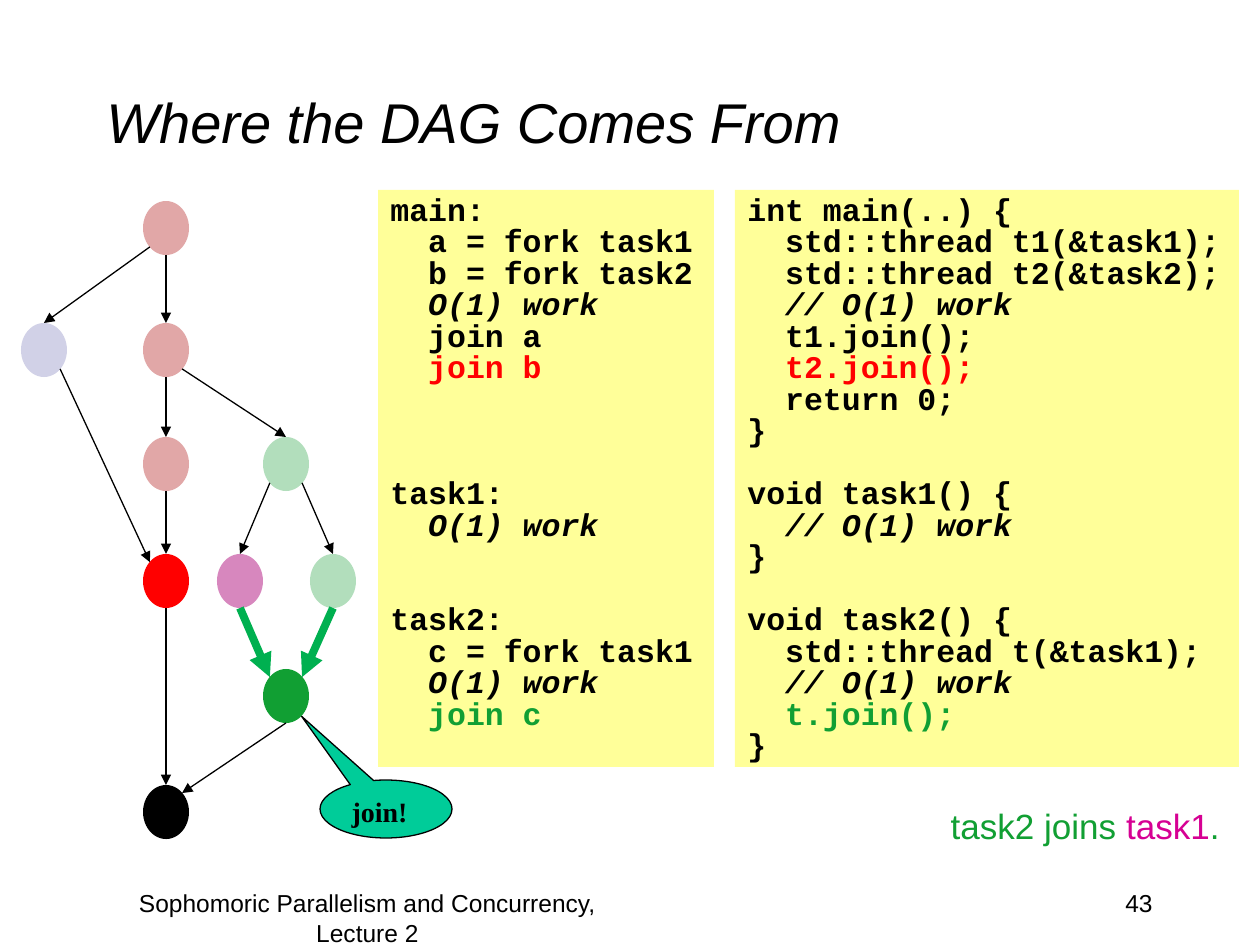
from pptx import Presentation
from pptx.dml.color import RGBColor
from pptx.enum.shapes import MSO_CONNECTOR as Connector, MSO_SHAPE as Shape
from pptx.enum.text import MSO_ANCHOR as Anchor, PP_ALIGN as Align
from pptx.oxml.ns import qn
from pptx.util import Emu, Pt
from lxml.etree import SubElement

EMU_PER_PX = 914400 / 126
BLACK = RGBColor(0x00, 0x00, 0x00)
ROSE = RGBColor(0xE1, 0xA7, 0xA7)
LAVENDER = RGBColor(0xD1, 0xD1, 0xE7)
RED = RGBColor(0xFF, 0x00, 0x00)
MINT = RGBColor(0xB2, 0xDE, 0xBC)
ORCHID = RGBColor(0xD7, 0x87, 0xBE)
GREEN = RGBColor(0x11, 0x9F, 0x33)
BRIGHT_GREEN = RGBColor(0x00, 0xB0, 0x50)
MAGENTA = RGBColor(0xD6, 0x00, 0x93)
YELLOW = RGBColor(0xFF, 0xFF, 0x99)
TEAL = RGBColor(0x00, 0xCC, 0x99)

BODY = {"name": "Arial", "size": Pt(14), "color": BLACK}
CODE = {"name": "Courier New", "size": Pt(18), "bold": True, "color": BLACK}
CALLOUT = {"name": "Times New Roman", "size": Pt(16), "bold": True, "color": BLACK}
ITALIC = {"italic": True}
CODE_LINE = Pt(18)
CODE_INDENT = Pt(21.6)  # two characters

NODE_W, NODE_H = 46, 54
DIAGONAL = 0.35  # half of cos 45°: where a diagonal meets the ellipse
SITES = {
    "n": (0, -0.5), "s": (0, 0.5),
    "nw": (-DIAGONAL, -DIAGONAL), "ne": (DIAGONAL, -DIAGONAL),
    "sw": (-DIAGONAL, DIAGONAL), "se": (DIAGONAL, DIAGONAL),
}

# name: (centre x, centre y, colour)
NODES = {
    "start": (166, 228, ROSE),
    "fork b": (166, 350, ROSE),
    "task1": (44, 350, LAVENDER),
    "main work": (166, 464, ROSE),
    "join a": (166, 581, RED),
    "join b": (166, 812, BLACK),
    "task2": (286, 464, MINT),
    "inner task1": (240, 581, ORCHID),
    "task2 work": (333, 581, MINT),
    "join c": (286, 696, GREEN),
}
EDGES = [
    ("start", "sw", "task1", "n"),
    ("start", "s", "fork b", "n"),
    ("task1", "se", "join a", "nw"),
    ("fork b", "s", "main work", "n"),
    ("main work", "s", "join a", "n"),
    ("join a", "s", "join b", "n"),
    ("fork b", "se", "task2", "n"),
    ("task2", "sw", "inner task1", "n"),
    ("task2", "se", "task2 work", "n"),
    ("join c", "s", "join b", "ne"),
]
JOIN_EDGES = [
    ("inner task1", "s", "join c", "nw"),
    ("task2 work", "s", "join c", "ne"),
]

# Each block: empty lines above it, then its lines as (text, format)
PSEUDOCODE = [
    (0, [("main:", {}), ("a = fork task1", {}), ("b = fork task2", {}),
         ("O(1) work", ITALIC), ("join a", {}), ("join b", {"color": RED})]),
    (3, [("task1:", {}), ("O(1) work", ITALIC)]),
    (2, [("task2:", {}), ("c = fork task1", {}), ("O(1) work", ITALIC),
         ("join c", {"color": GREEN})]),
]
CPP_CODE = [
    (0, [("int main(..) {", {}), ("std::thread t1(&task1);", {}),
         ("std::thread t2(&task2);", {}), ("// O(1) work", ITALIC),
         ("t1.join();", {}), ("t2.join();", {"color": RED}),
         ("return 0;", {}), ("}", {})]),
    (1, [("void task1() {", {}), ("// O(1) work", ITALIC), ("}", {})]),
    (1, [("void task2() {", {}), ("std::thread t(&task1);", {}),
         ("// O(1) work", ITALIC), ("t.join();", {"color": GREEN}), ("}", {})]),
]


def px(*lengths):
    return [Emu(round(length * EMU_PER_PX)) for length in lengths]


class SlideBuilder:
    def __init__(self, page):
        self.shapes = page.shapes

    def span(self, para, text, style):
        span = para.add_run()
        span.text = text
        for key, value in style.items():
            if key == "color":
                span.font.color.rgb = value
            else:
                setattr(span.font, key, value)

    def frame(self, box, anchor=Anchor.TOP):
        frame = box.text_frame
        frame.word_wrap = True
        frame.vertical_anchor = anchor
        return frame

    def text(self, bounds, spans, align=Align.LEFT, anchor=Anchor.TOP):
        box = self.shapes.add_textbox(*px(*bounds))
        para = self.frame(box, anchor).paragraphs[0]
        para.alignment = align
        for text, style in spans:
            self.span(para, text, BODY | style)

    def shape(self, kind, bounds, fill, outline=None):
        shape = self.shapes.add_shape(kind, *px(*bounds))
        shape.shadow.inherit = False
        shape.fill.solid()
        shape.fill.fore_color.rgb = fill
        if outline is None:
            shape.line.fill.background()
        else:
            shape.line.color.rgb = outline
            shape.line.width = Pt(0.75)
        return shape

    def node(self, x, y, color):
        self.shape(Shape.OVAL, (x - NODE_W / 2, y - NODE_H / 2, NODE_W, NODE_H), color)

    def edge(self, start, start_site, end, end_site, color=BLACK, width=0.75):
        ends = []
        for name, site in ((start, start_site), (end, end_site)):
            x, y, _ = NODES[name]
            dx, dy = SITES[site]
            ends += [x + dx * NODE_W, y + dy * NODE_H]
        arrow = self.shapes.add_connector(Connector.STRAIGHT, *px(*ends))
        arrow.line.color.rgb = color
        arrow.line.width = Pt(width)
        SubElement(arrow.line._get_or_add_ln(), qn("a:tailEnd"), type="triangle")
        SubElement(arrow._element.spPr, qn("a:effectLst"))

    def code(self, bounds, blocks):
        """Draw a listing; only block headings and closing braces sit flush left."""
        frame = self.frame(self.shape(Shape.RECTANGLE, bounds, YELLOW))
        para = frame.paragraphs[0]
        for empty_lines, lines in blocks:
            for index, (text, style) in enumerate(lines):
                if para is None:
                    para = frame.add_paragraph()
                para.alignment = Align.LEFT
                para.line_spacing = CODE_LINE
                para.space_before = CODE_LINE * empty_lines if index == 0 else Pt(0)
                if index and text != "}":
                    para._p.get_or_add_pPr().set("marL", str(int(CODE_INDENT)))
                self.span(para, text, CODE | style)
                para = None

    def callout(self, bounds, text, tip):
        bubble = self.shape(Shape.OVAL_CALLOUT, bounds, TEAL, BLACK)
        for index, value in enumerate(tip):
            bubble.adjustments[index] = value
        para = self.frame(bubble).paragraphs[0]
        para.alignment = Align.LEFT
        self.span(para, text, CALLOUT)


def main():
    deck = Presentation()
    deck.slide_width, deck.slide_height = px(1260, 945)
    slide = SlideBuilder(deck.slides.add_slide(deck.slide_layouts[6]))

    slide.text((94, 42, 1071, 158),
               [("Where the DAG Comes From", {"size": Pt(32), "italic": True})],
               anchor=Anchor.MIDDLE)
    slide.text((903, 882, 262, 63), [("43", {})], Align.RIGHT)
    slide.text((84, 882, 567, 63),
               [("Sophomoric Parallelism and Concurrency, Lecture 2", {})], Align.CENTER)

    for node in NODES.values():
        slide.node(*node)
    for edge in EDGES:
        slide.edge(*edge)
    for edge in JOIN_EDGES:
        slide.edge(*edge, color=BRIGHT_GREEN, width=4.5)

    slide.code((378, 190, 336, 577), PSEUDOCODE)
    slide.code((735, 190, 504, 577), CPP_CODE)
    caption = [("task2 joins ", GREEN), ("task1", MAGENTA), (".", GREEN)]
    slide.text((735, 798, 497, 55),
               [(text, {"size": Pt(20), "color": color}) for text, color in caption],
               Align.RIGHT)
    # Below the listings, with the tip on the "join c" node
    slide.callout((320, 780, 132, 58), "join!", (-0.64, -1.6))
    deck.save("out.pptx")


if __name__ == "__main__":
    main()
